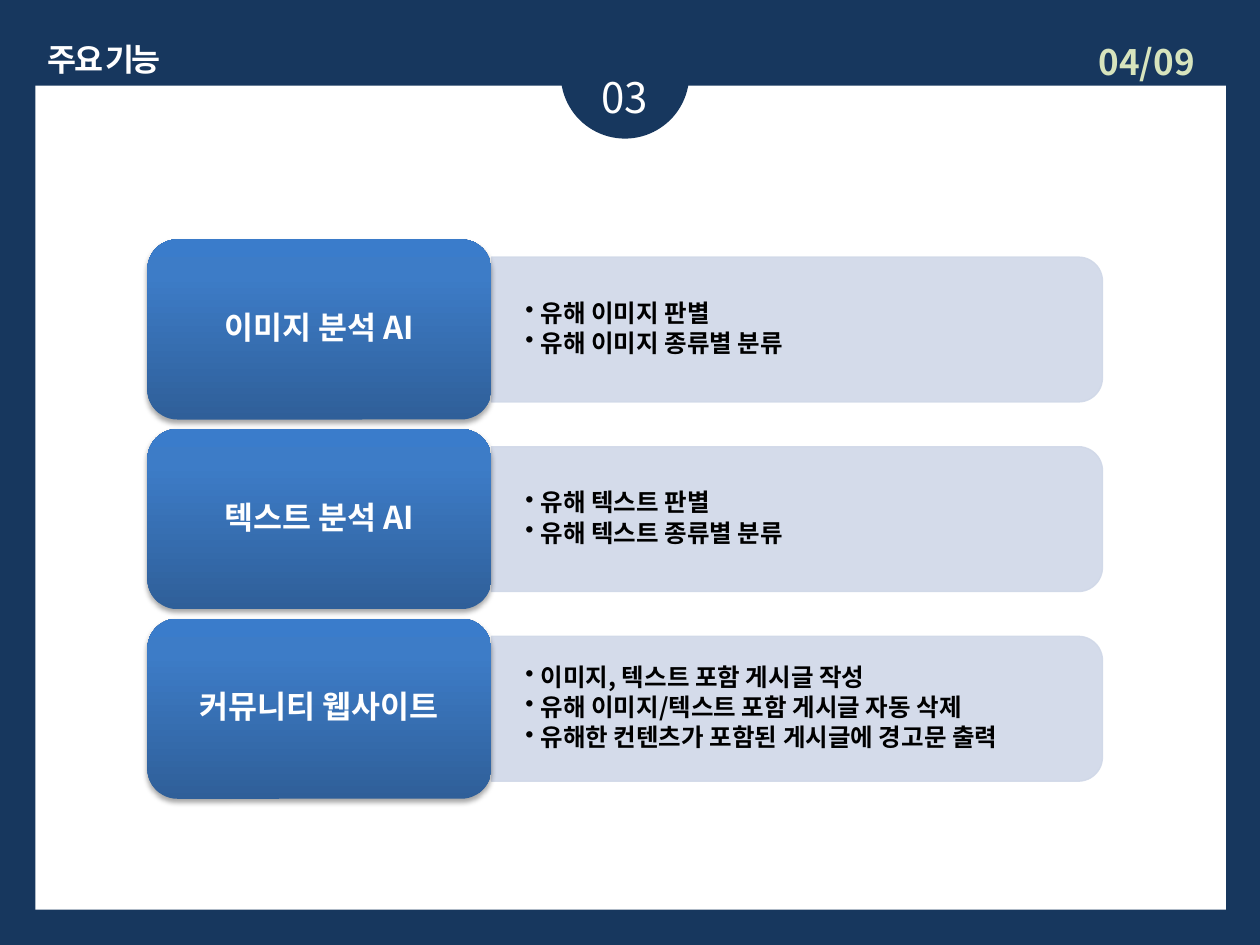
from lxml import etree
from pptx import Presentation
from pptx.dml.color import RGBColor
from pptx.enum.shapes import MSO_SHAPE
from pptx.enum.text import MSO_ANCHOR, MSO_AUTO_SIZE, PP_ALIGN
from pptx.oxml import parse_xml
from pptx.oxml.ns import qn
from pptx.util import Inches, Pt

RECT, OVAL = MSO_SHAPE.RECTANGLE, MSO_SHAPE.OVAL
ROUNDED, ROUND_TOP = MSO_SHAPE.ROUNDED_RECTANGLE, MSO_SHAPE.ROUND_2_SAME_RECTANGLE
TOP, MIDDLE = MSO_ANCHOR.TOP, MSO_ANCHOR.MIDDLE
LEFT, CENTER = PP_ALIGN.LEFT, PP_ALIGN.CENTER
NO_FIT = MSO_AUTO_SIZE.NONE
FONT = "Noto Sans CJK KR"
COLORS = {
    "navy": "17375E", "white": "FFFFFF", "black": "000000", "panel": "D0D8E8",
    "number": "D7E4BD", "low": "2F5F99", "middle": "3D7CC7", "high": "3A7CCB",
}
SPACE = 'xmlns:a="http://schemas.openxmlformats.org/drawingml/2006/main"'
FEATURES = [
    ("이미지 분석 AI", ["유해 이미지 판별", "유해 이미지 종류별 분류"]),
    ("텍스트 분석 AI", ["유해 텍스트 판별", "유해 텍스트 종류별 분류"]),
    ("커뮤니티 웹사이트", ["이미지, 텍스트 포함 게시글 작성",
                   "유해 이미지/텍스트 포함 게시글 자동 삭제",
                   "유해한 컨텐츠가 포함된 게시글에 경고문 출력"]),
]


def color(name):
    """Return the named colour."""
    return RGBColor.from_string(COLORS[name])


def set_values(target, values):
    """Set attributes of an object from a dict."""
    for name, value in values.items():
        setattr(target, name, value)


def write(shape, lines, size, ink, frame=None, para_format=None, bold=True):
    """Write one paragraph for each line and return the paragraphs."""
    text = shape.text_frame
    set_values(text, {"word_wrap": True, "auto_size": NO_FIT,
                      "vertical_anchor": TOP, **(frame or {})})
    text.text = "\n".join(lines)
    for para in text.paragraphs:
        set_values(para, {"alignment": LEFT, **(para_format or {})})
        span = para.runs[0]
        set_values(span.font, {"size": Pt(size), "name": FONT, "bold": bold})
        span.font.color.rgb = color(ink)
        etree.SubElement(span.font._element, qn("a:ea"), typeface=FONT)
    return text.paragraphs


def add_text(page, box, *args, **kwargs):
    """Add a text box in the given box."""
    return write(page.shapes.add_textbox(*map(Inches, box)), *args, **kwargs)


def add_plain_shape(page, kind, box, fill):
    """Add a flat shape without outline."""
    shape = page.shapes.add_shape(kind, *map(Inches, box))
    shape.shadow.inherit = False
    shape.fill.solid()
    shape.fill.fore_color.rgb = color(fill)
    shape.line.fill.background()
    return shape


def add_title(page, box):
    """Place and format the slide title."""
    title = page.shapes.title
    set_values(title, dict(zip(("left", "top", "width", "height"), map(Inches, box))))
    paras = write(title, ["주요 기능"], 18, "white", {"word_wrap": False})
    paras[0].runs[0].font._element.set("spc", "-150")


def add_frame(page, box):
    """Draw the white sheet with its section tab and page number."""
    left, top, width, height = box
    add_plain_shape(page, RECT, box, "white")
    add_plain_shape(page, OVAL, (left + 4.17, top - 0.6, 1.02, 1.02), "navy")
    add_text(page, (left + 4.09, top - 0.16, 1.18, 0.5), ["03"], 24, "white",
             para_format={"alignment": CENTER}, bold=False)
    add_text(page, (left + width - 1.11, top - 0.41, 1.1, 0.44), ["04/09"], 20, "number")


def add_panel(page, box, lines):
    """Draw a panel rounded on the right, with its bullets."""
    left, top, width, height = box
    turned = (left + (width - height) / 2, top + (height - width) / 2, height, width)
    panel = add_plain_shape(page, ROUND_TOP, turned, "panel")
    panel.rotation = 90
    panel.line.color.rgb = color("panel")
    panel.line.width = Pt(0.75)
    for tint in panel._element.spPr.iter(qn("a:srgbClr")):
        etree.SubElement(tint, qn("a:alpha"), val="90000")
    frame = {"vertical_anchor": MIDDLE,
             "margin_left": Inches(0.27), "margin_right": Inches(0.27),
             "margin_top": Inches(0.14), "margin_bottom": Inches(0.14)}
    paras = add_text(page, (left, top + 0.06, width - 0.05, height - 0.12), lines, 14,
                     "black", frame, {"line_spacing": 0.9, "space_after": Pt(2.1)})
    for para in paras:
        props = para._p.get_or_add_pPr()
        props.set("marL", str(Inches(0.12)))
        props.set("indent", str(-Inches(0.12)))
        etree.SubElement(props, qn("a:buChar"), char="•")


def add_label(page, box, name):
    """Draw a raised gradient card with its name."""
    card = add_plain_shape(page, ROUNDED, box, "middle")
    props = card._element.spPr
    stops = "".join(
        f'<a:gs pos="{place}"><a:srgbClr val="{COLORS[tone]}"/></a:gs>'
        for place, tone in ((0, "low"), (80000, "middle"), (100000, "high")))
    props.replace(props.find(qn("a:solidFill")), parse_xml(
        f'<a:gradFill {SPACE} rotWithShape="1"><a:gsLst>{stops}</a:gsLst>'
        '<a:lin ang="16200000" scaled="0"/></a:gradFill>'))
    props.find(qn("a:effectLst")).append(parse_xml(
        f'<a:outerShdw {SPACE} blurRad="{Pt(3.1)}" dist="{Pt(1.8)}" dir="5400000" '
        f'rotWithShape="0"><a:srgbClr val="{COLORS["black"]}">'
        '<a:alpha val="35000"/></a:srgbClr></a:outerShdw>'))
    write(card, [name], 18, "white", {"vertical_anchor": MIDDLE},
          {"alignment": CENTER, "line_spacing": 0.9, "space_after": Pt(6.3)})


def add_features(page, box):
    """Stack one card and panel for each feature."""
    left, top, width, height = box
    card_width, card_height, inset = 2.73, 1.43, 0.14
    step = (height - card_height) / (len(FEATURES) - 1)
    for index, (name, lines) in enumerate(FEATURES):
        row = top + index * step
        add_panel(page, (left + card_width, row + inset, width - card_width,
                         card_height - 2 * inset), lines)
        add_label(page, (left, row, card_width, card_height), name)


def main():
    """Build the slide and save the deck."""
    deck = Presentation()
    set_values(deck, {"slide_width": Inches(10), "slide_height": Inches(7.5)})
    page = deck.slides.add_slide(deck.slide_layouts[5])
    page.background.fill.solid()
    page.background.fill.fore_color.rgb = color("navy")
    add_title(page, (0.28, 0.27, 1.2, 0.4))
    add_frame(page, (0.28, 0.68, 9.45, 6.54))
    add_features(page, (1.17, 1.9, 7.58, 4.44))
    deck.save("out.pptx")


if __name__ == "__main__":
    main()
